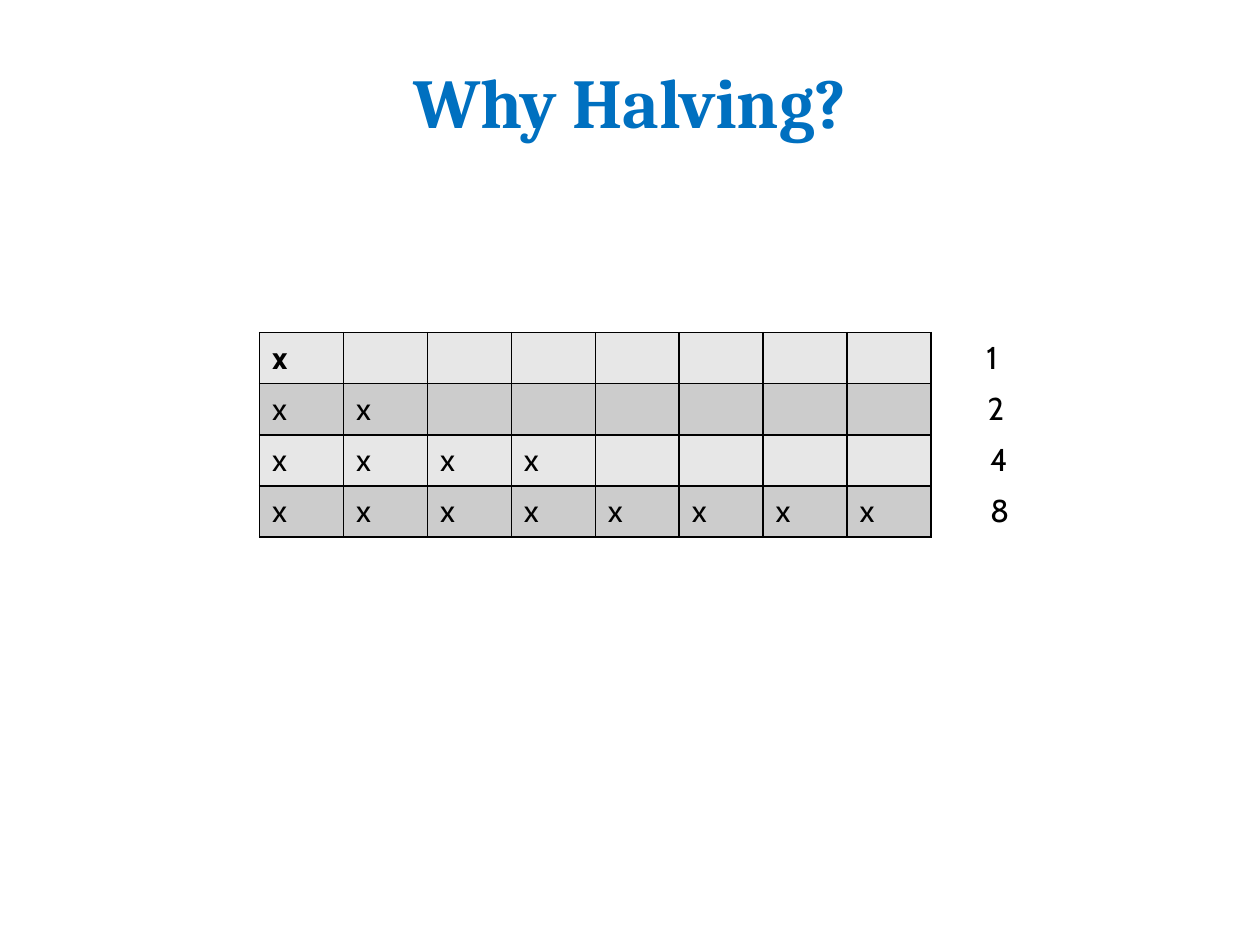
from dataclasses import dataclass

from lxml import etree
from pptx import Presentation
from pptx.dml.color import RGBColor
from pptx.enum.text import MSO_ANCHOR, MSO_AUTO_SIZE, PP_ALIGN
from pptx.oxml.ns import qn
from pptx.util import Inches, Pt

CENTER, LEFT = PP_ALIGN.CENTER, PP_ALIGN.LEFT
MIDDLE, TOP = MSO_ANCHOR.MIDDLE, MSO_ANCHOR.TOP
GROW = MSO_AUTO_SIZE.SHAPE_TO_FIT_TEXT


@dataclass(frozen=True)
class Theme:
    title_font: str = "Cambria"
    body_font: str = "Cabin"
    title_size: int = 40
    body_size: int = 18
    title_color: str = "0070C0"
    ink: str = "000000"
    bands: tuple = ("E7E7E7", "CCCCCC")
    border_width: int = 1


THEME = Theme()

# Filled cells per row, with the left edge of each row's count label
COUNTS = [(1, 7.73), (2, 7.74), (4, 7.76), (8, 7.76)]
COLUMNS = 8
TABLE_LEFT, TABLE_TOP = 2.06, 2.64
TABLE_WIDTH, TABLE_HEIGHT = 5.33, 1.62
ROW_HEIGHT = TABLE_HEIGHT / len(COUNTS)


def add_run(paragraph, text, font_name, size, color, bold=False):
    run = paragraph.add_run()
    run.text = text
    run.font.name = font_name
    run.font.size = Pt(size)
    run.font.bold = bold
    run.font.color.rgb = RGBColor.from_string(color)


def add_body_run(paragraph, text, bold=False):
    paragraph.alignment = LEFT
    add_run(paragraph, text, THEME.body_font, THEME.body_size, THEME.ink, bold)


def set_title(slide, text):
    title = slide.shapes.title
    title.left, title.top = Inches(0.5), Inches(0.3)
    title.width, title.height = Inches(9), Inches(0.99)
    frame = title.text_frame
    frame.vertical_anchor = MIDDLE
    paragraph = frame.paragraphs[0]
    paragraph.alignment = CENTER
    add_run(paragraph, text, THEME.title_font, THEME.title_size,
            THEME.title_color, bold=True)


def set_borders(cell):
    properties = cell._tc.get_or_add_tcPr()
    for index, side in enumerate(("a:lnL", "a:lnR", "a:lnT", "a:lnB")):
        line = etree.Element(qn(side), w=str(Pt(THEME.border_width)))
        fill = etree.SubElement(line, qn("a:solidFill"))
        etree.SubElement(fill, qn("a:srgbClr"), val=THEME.ink)
        properties.insert(index, line)


def add_halving_table(slide):
    table = slide.shapes.add_table(
        len(COUNTS), COLUMNS, Inches(TABLE_LEFT), Inches(TABLE_TOP),
        Inches(TABLE_WIDTH), Inches(TABLE_HEIGHT)).table
    for row, (count, _) in enumerate(COUNTS):
        band = THEME.bands[row % len(THEME.bands)]
        for column in range(COLUMNS):
            cell = table.cell(row, column)
            cell.vertical_anchor = TOP
            cell.fill.solid()
            cell.fill.fore_color.rgb = RGBColor.from_string(band)
            set_borders(cell)
            if column < count:
                add_body_run(cell.text_frame.paragraphs[0], "x", bold=row == 0)


def add_count_label(slide, text, left, top):
    box = slide.shapes.add_textbox(Inches(left), Inches(top),
                                   Inches(0.56), Inches(0.4))
    frame = box.text_frame
    frame.word_wrap = True
    frame.auto_size = GROW
    add_body_run(frame.paragraphs[0], text)


def main():
    presentation = Presentation()
    presentation.slide_width, presentation.slide_height = Inches(10), Inches(7.5)
    slide = presentation.slides.add_slide(presentation.slide_layouts[5])

    # Title and table
    set_title(slide, "Why Halving?")
    add_halving_table(slide)

    # Count beside each row
    for row, (count, left) in enumerate(COUNTS):
        add_count_label(slide, str(count), left,
                        TABLE_TOP - 0.01 + row * ROW_HEIGHT)

    presentation.save("out.pptx")


if __name__ == "__main__":
    main()
